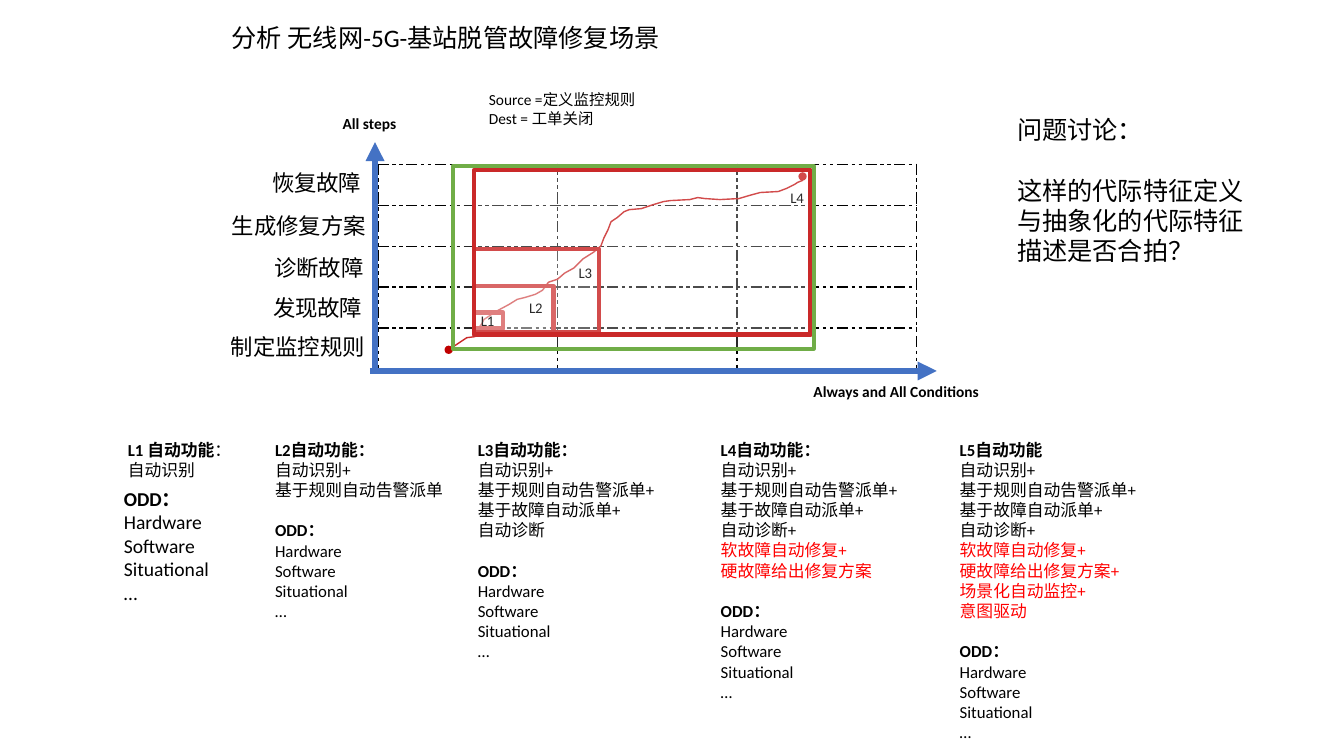
from dataclasses import dataclass
from typing import NamedTuple

import pptx
import pptx.dml.color
import pptx.enum.dml
import pptx.enum.shapes
import pptx.enum.text
import pptx.oxml.ns
import pptx.util
from lxml import etree

PX = 9144  # EMU per px, 100 px to the inch
FONT = "Calibri"
BLACK = pptx.dml.color.RGBColor(0x00, 0x00, 0x00)
WHITE = pptx.dml.color.RGBColor(0xFF, 0xFF, 0xFF)
BLUE = pptx.dml.color.RGBColor(0x44, 0x72, 0xC4)
DARK_RED = pptx.dml.color.RGBColor(0xC0, 0x00, 0x00)
RED = pptx.dml.color.RGBColor(0xFF, 0x00, 0x00)
GREEN = pptx.dml.color.RGBColor(0x70, 0xAD, 0x47)
qn = pptx.oxml.ns.qn


class Box(NamedTuple):
    left: int
    top: int
    width: int
    height: int

    def emu(self) -> list[int]:
        return [v * PX for v in self]


class Run(NamedTuple):
    text: str
    bold: bool = False
    color: pptx.dml.color.RGBColor = BLACK


@dataclass
class Para:
    runs: list[Run]
    gap: float = 0  # points above the paragraph


@dataclass
class Label:
    text: str
    box: Box
    size: float
    bold: bool = False
    wrap: bool = False


@dataclass
class Level:
    heading: list[Run]
    box: Box
    step_count: int
    has_odd: bool = True


STEP_LABELS = [
    Label("诊断故障", Box(262, 247, 110, 37), 16),
    Label("制定监控规则", Box(219, 326, 155, 37), 16),
    Label("生成修复方案", Box(220, 206, 155, 37), 16),
    Label("恢复故障", Box(260, 163, 110, 37), 16),
    Label("发现故障", Box(261, 287, 110, 37), 16, wrap=True),
]
AXIS_LABELS = [
    Label("All steps", Box(330, 108, 74, 29), 11, bold=True),
    Label("Always and All Conditions", Box(797, 374, 186, 29), 11, bold=True),
]
ZONE_LABELS = [
    Label("L1", Box(467, 304, 35, 29), 10.5),
    Label("L2", Box(515, 292, 34, 28), 10.5),
    Label("L3", Box(564, 257, 34, 28), 10.5),
    Label("L4", Box(774, 182, 34, 28), 10.5),
]
ZONES = [Box(470, 310, 29, 16), Box(470, 284, 79, 45),
         Box(470, 247, 124, 82), Box(470, 169, 334, 163)]
L5_ZONE = Box(449, 165, 358, 181)
TITLE = Label("分析 无线网-5G-基站脱管故障修复场景", Box(220, 17, 667, 40), 18, wrap=True)

CURVE = [
    (445, 347), (457, 339), (463, 335), (471, 334), (472, 329), (478, 321),
    (480, 317), (492, 309), (505, 302), (513, 297), (521, 295), (531, 292),
    (538, 288), (544, 280), (553, 277), (560, 271), (569, 266), (578, 257),
    (589, 250), (596, 244), (599, 236), (603, 228), (606, 220), (612, 216),
    (619, 210), (624, 208), (636, 207), (648, 203), (658, 200), (665, 199),
    (684, 198), (692, 196), (699, 197), (714, 198), (733, 197), (743, 194),
    (754, 191), (772, 190), (780, 187), (788, 183), (791, 181), (796, 179),
    (796, 175),
]

FUNCTIONS = ["自动识别", "基于规则自动告警派单", "基于故障自动派单", "自动诊断",
             "软故障自动修复", "硬故障给出修复方案", "场景化自动监控", "意图驱动"]
FIRST_RED = 4
ODD = ["Hardware", "Software", "Situational", "…"]
LEVELS = [
    Level([Run("L1 自动功能", True), Run("：")], Box(117, 431, 140, 111), 1, has_odd=False),
    Level([Run("L2自动功能：", True)], Box(263, 431, 216, 232), 2),
    Level([Run("L3自动功能：", True)], Box(464, 431, 205, 273), 4),
    Level([Run("L4自动功能：", True)], Box(705, 431, 201, 293), 6),
    Level([Run("L5自动功能", True)], Box(942, 431, 201, 353), 8),
]


def add_text(slide, box: Box, paras: list[Para], size: float, wrap: bool = True) -> None:
    tf = slide.shapes.add_textbox(*box.emu()).text_frame
    tf.word_wrap = wrap
    tf.auto_size = pptx.enum.text.MSO_AUTO_SIZE.SHAPE_TO_FIT_TEXT
    for i, para in enumerate(paras):
        p = tf.add_paragraph() if i else tf.paragraphs[0]
        if para.gap:
            p.space_before = pptx.util.Pt(para.gap)
        for run in para.runs:
            r = p.add_run()
            r.text = run.text
            r.font.name = FONT
            r.font.size = pptx.util.Pt(size)
            r.font.bold = run.bold
            r.font.color.rgb = run.color


def add_labels(slide, labels: list[Label]) -> None:
    for label in labels:
        paras = [Para([Run(label.text, label.bold)])]
        add_text(slide, label.box, paras, label.size, label.wrap)


def add_grid(slide, box: Box, rows: int, cols: int) -> None:
    table = slide.shapes.add_table(rows, cols, *box.emu()).table
    table.first_row = table.horz_banding = False
    for cell in table.iter_cells():
        cell.fill.background()
        tc_pr = cell._tc.get_or_add_tcPr()
        for i, side in enumerate(("a:lnL", "a:lnR", "a:lnT", "a:lnB")):
            ln = etree.Element(qn(side), w=str(pptx.util.Pt(1)))
            fill = etree.SubElement(ln, qn("a:solidFill"))
            etree.SubElement(fill, qn("a:srgbClr"), val=str(BLACK))
            etree.SubElement(ln, qn("a:prstDash"), val="sysDashDotDot")
            tc_pr.insert(i, ln)


def set_line(shape, color: pptx.dml.color.RGBColor, width: float, **ends: str) -> None:
    """Style the outline; ends maps headEnd and tailEnd to arrowhead types."""
    shape.line.color.rgb = color
    shape.line.width = pptx.util.Pt(width)
    ln = shape._element.spPr.find(qn("a:ln"))
    for end, kind in ends.items():
        etree.SubElement(ln, qn(f"a:{end}"), type=kind)


def add_axis(slide, x1: int, y1: int, x2: int, y2: int) -> None:
    axis = slide.shapes.add_connector(
        pptx.enum.shapes.MSO_CONNECTOR.STRAIGHT, x1 * PX, y1 * PX, x2 * PX, y2 * PX)
    set_line(axis, BLUE, 4.5, tailEnd="triangle")
    etree.SubElement(axis._element.spPr, qn("a:effectLst"))


def add_curve(slide, points: list[tuple[int, int]]) -> None:
    builder = slide.shapes.build_freeform(*points[0], scale=PX)
    builder.add_line_segments(points[1:], close=False)
    curve = builder.convert_to_shape()
    curve.shadow.inherit = False
    curve.fill.background()
    set_line(curve, DARK_RED, 1, headEnd="oval", tailEnd="oval")


def add_zone(slide, box: Box, color: pptx.dml.color.RGBColor) -> None:
    """Draw a framed rectangle with a 16 % opaque white fill."""
    s = slide.shapes.add_shape(pptx.enum.shapes.MSO_SHAPE.RECTANGLE, *box.emu())
    s.shadow.inherit = False
    s.fill.solid()
    s.fill.fore_color.rgb = WHITE
    white = s._element.spPr.find(qn("a:solidFill"))[0]
    etree.SubElement(white, qn("a:alpha"), val="16000")
    set_line(s, color, 3)


def odd_paras(gap: float = 0) -> list[Para]:
    return [Para([Run("ODD：", True)], gap)] + [Para([Run(item)]) for item in ODD]


def add_level(slide, level: Level) -> None:
    paras = [Para(level.heading)]
    for i, name in enumerate(FUNCTIONS[:level.step_count]):
        plus = "+" if i < level.step_count - 1 else ""
        paras.append(Para([Run(name + plus, color=RED if i >= FIRST_RED else BLACK)]))
    if level.has_odd:
        paras += odd_paras(gap=14.5)
    add_text(slide, level.box, paras, 12)


def main() -> None:
    prs = pptx.Presentation()
    prs.slide_width, prs.slide_height = 1333 * PX, 750 * PX
    slide = prs.slides.add_slide(prs.slide_layouts[6])

    add_grid(slide, Box(375, 163, 534, 203), rows=5, cols=3)
    add_labels(slide, STEP_LABELS + AXIS_LABELS)
    add_axis(slide, 372, 368, 372, 141)
    add_axis(slide, 367, 368, 929, 368)
    add_curve(slide, CURVE)
    for zone in ZONES:
        add_zone(slide, zone, DARK_RED)
    add_labels(slide, ZONE_LABELS)
    add_zone(slide, L5_ZONE, GREEN)
    add_text(slide, Box(475, 85, 167, 47),
             [Para([Run("Source =定义监控规则")]), Para([Run("Dest = 工单关闭")])], 11)

    for level in LEVELS:
        add_level(slide, level)
    add_text(slide, Box(113, 478, 106, 152), odd_paras(), 14, wrap=False)
    add_labels(slide, [TITLE])
    add_text(slide, Box(999, 108, 267, 162),
             [Para([Run("问题讨论：")]),
              Para([Run("这样的代际特征定义与抽象化的代际特征描述是否合拍？")], gap=22)], 18)
    prs.save("out.pptx")


if __name__ == "__main__":
    main()
